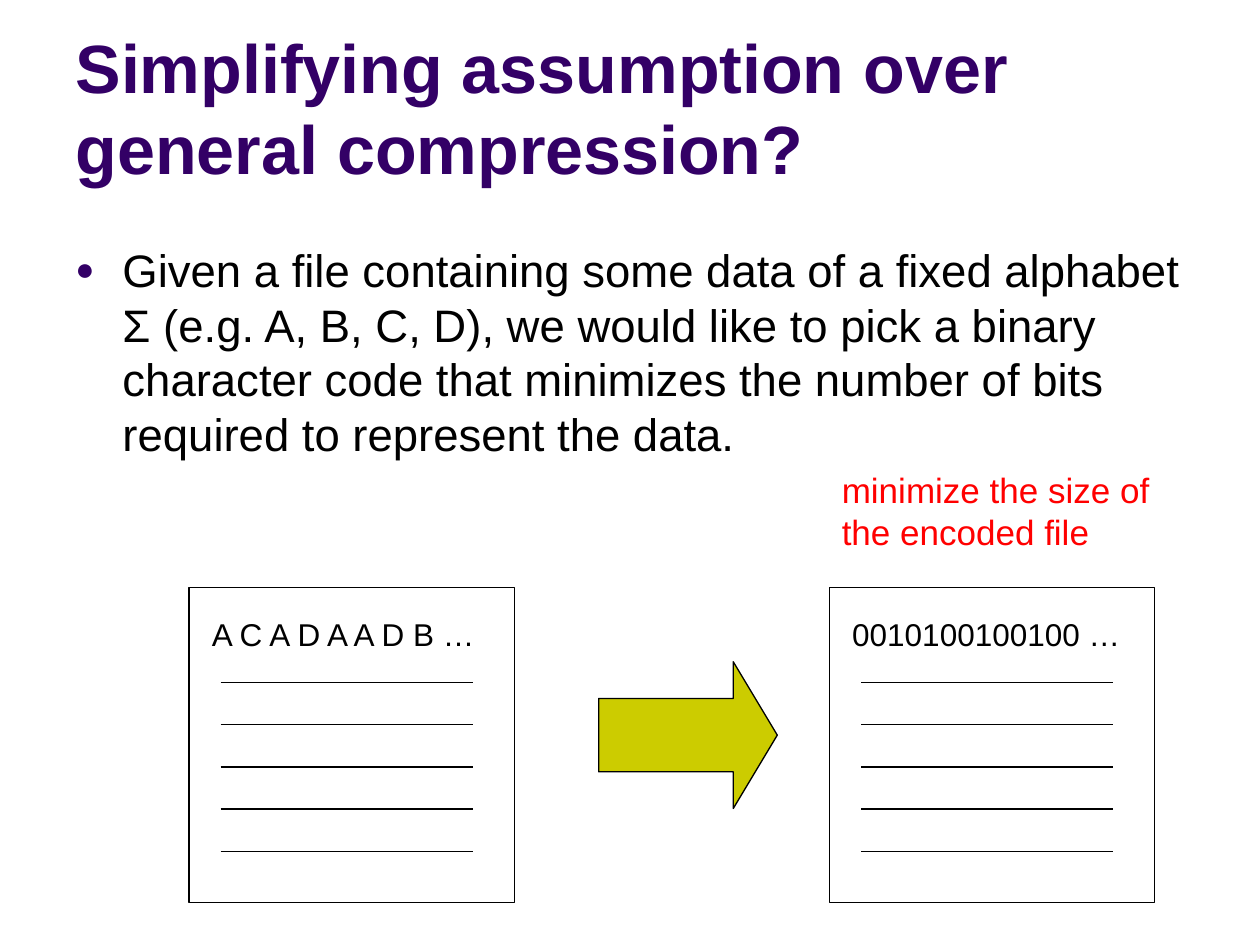
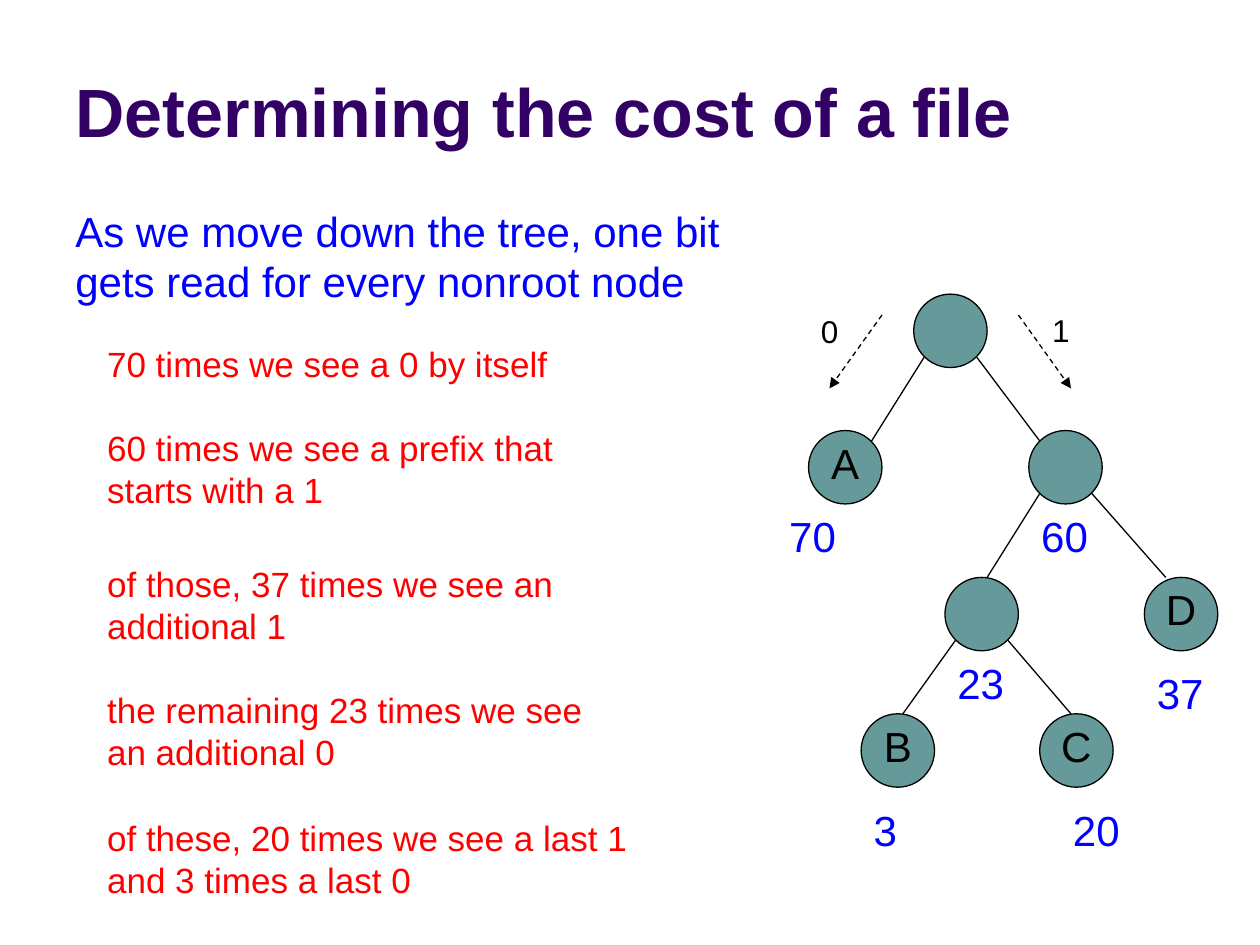
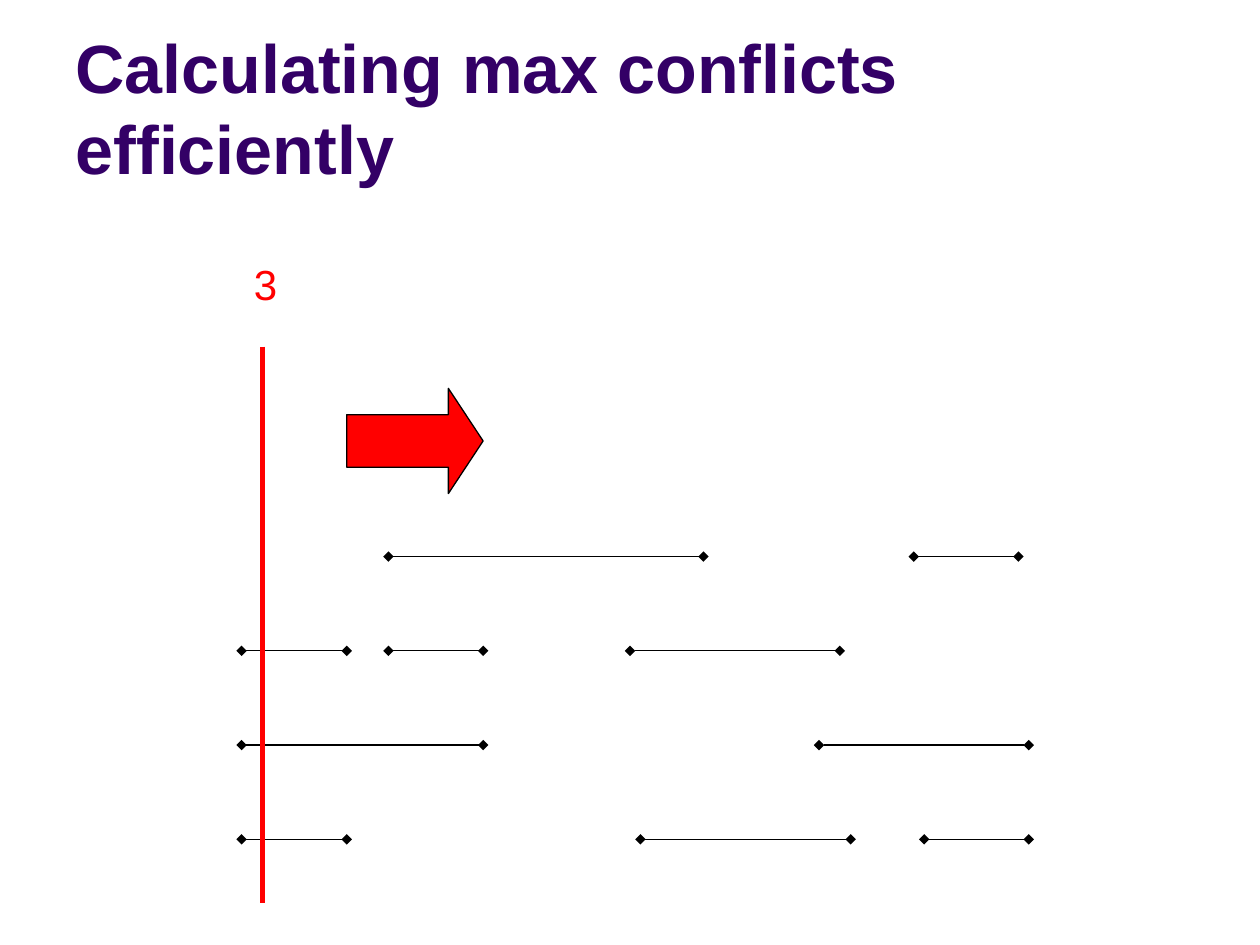
from lxml import etree
from pptx import Presentation
from pptx.dml.color import RGBColor
from pptx.enum.dml import MSO_LINE
from pptx.enum.shapes import MSO_CONNECTOR, MSO_SHAPE
from pptx.enum.text import MSO_ANCHOR, MSO_AUTO_SIZE, PP_ALIGN
from pptx.oxml.ns import qn
from pptx.util import Cm, Pt

STRAIGHT = MSO_CONNECTOR.STRAIGHT
DASH = MSO_LINE.DASH
RECTANGLE, OVAL, ARROW = MSO_SHAPE.RECTANGLE, MSO_SHAPE.OVAL, MSO_SHAPE.RIGHT_ARROW
TOP, MIDDLE, BOTTOM = MSO_ANCHOR.TOP, MSO_ANCHOR.MIDDLE, MSO_ANCHOR.BOTTOM
LEFT, CENTER = PP_ALIGN.LEFT, PP_ALIGN.CENTER
NO_AUTOFIT = MSO_AUTO_SIZE.NONE

PURPLE = RGBColor(0x33, 0x00, 0x66)
BLACK = RGBColor(0x00, 0x00, 0x00)
RED = RGBColor(0xFF, 0x00, 0x00)
BLUE = RGBColor(0x00, 0x00, 0xFF)
OLIVE = RGBColor(0xCC, 0xCC, 0x00)
TEAL = RGBColor(0x66, 0x99, 0x99)
FONT = "Arial"
THIN = Pt(0.75)


def write_text(box, text, size=20, color=BLACK, bold=False, align=LEFT, anchor=TOP, bullet=None):
    frame = box.text_frame
    frame.word_wrap = True
    frame.auto_size = NO_AUTOFIT
    frame.vertical_anchor = anchor
    para = frame.paragraphs[0]
    para.alignment = align
    if bullet:
        properties = para._p.get_or_add_pPr()
        properties.set("marL", str(Cm(0.95)))
        properties.set("indent", str(-Cm(0.95)))
        bullet_color = etree.SubElement(properties, qn("a:buClr"))
        etree.SubElement(bullet_color, qn("a:srgbClr"), val=str(PURPLE))
        etree.SubElement(properties, qn("a:buSzPct"), val="70000")
        etree.SubElement(properties, qn("a:buFont"), typeface=FONT)
        etree.SubElement(properties, qn("a:buChar"), char=bullet)
    span = para.add_run()
    span.text = text
    span.font.name = FONT
    span.font.size = Pt(size)
    span.font.bold = bold
    span.font.color.rgb = color


def draw_line(page, start, end, color=BLACK, width=THIN, dash=None, head=None, tail=None):
    x1, y1, x2, y2 = (Cm(value) for value in (*start, *end))
    connector = page.shapes.add_connector(STRAIGHT, x1, y1, x2, y2)
    connector.line.color.rgb = color
    connector.line.width = width
    if dash:
        connector.line.dash_style = dash
    outline = connector.line._get_or_add_ln()
    for tag, kind in (("a:headEnd", head), ("a:tailEnd", tail)):
        if kind:
            etree.SubElement(outline, qn(tag), type=kind)
    etree.SubElement(connector._element.spPr, qn("a:effectLst"))


deck = Presentation()
deck.slide_width, deck.slide_height = Cm(25.4), Cm(19.05)

titles = [
    ("Simplifying assumption over general compression?", 0.33, 22.86, 3.6),
    ("Determining the cost of a file", 0.85, 20.96, 2.33),
    ("Calculating max conflicts efficiently", 0.33, 22.86, 3.6),
]
pages = []
for text, top, width, height in titles:
    page = deck.slides.add_slide(deck.slide_layouts[5])
    title = page.shapes.title
    title.left, title.top, title.width, title.height = Cm(1.27), Cm(top), Cm(width), Cm(height)
    write_text(title, text, size=39, color=PURPLE, bold=True, anchor=BOTTOM)
    pages.append(page)
compression_page, cost_page, conflicts_page = pages

body = compression_page.shapes.add_textbox(Cm(1.27), Cm(4.76), Cm(22.86), Cm(4.95))
write_text(
    body,
    "Given a file containing some data of a fixed alphabet Σ (e.g. A, B, C, D), we would like "
    "to pick a binary character code that minimizes the number of bits required to represent the data.",
    size=26,
    bullet="●",
)

for left, content in ((3.81, "A C A D A A D B …"), (16.72, "0010100100100 …")):
    box = compression_page.shapes.add_textbox(Cm(left + 0.21), Cm(12.28), Cm(7.41), Cm(1.02))
    write_text(box, content, size=18)
    file_outline = compression_page.shapes.add_shape(RECTANGLE, Cm(left), Cm(11.85), Cm(6.56), Cm(6.35))
    file_outline.shadow.inherit = False
    file_outline.fill.background()
    file_outline.line.color.rgb = BLACK
    file_outline.line.width = THIN
    for row in range(5):
        y = 13.76 + row * 0.85
        draw_line(compression_page, (left + 0.64, y), (left + 5.72, y))

goal = compression_page.shapes.add_textbox(Cm(16.72), Cm(9.32), Cm(6.78), Cm(1.96))
write_text(goal, "minimize the size of the encoded file", color=RED)

tree_nodes = [
    ("", 18.42, 5.93),
    ("A", 16.3, 8.68),
    ("", 20.74, 8.68),
    ("", 19.05, 11.64),
    ("B", 17.36, 14.39),
    ("C", 20.96, 14.39),
    ("D", 23.07, 11.64),
]
for letter, left, top in tree_nodes:
    node = cost_page.shapes.add_shape(OVAL, Cm(left), Cm(top), Cm(1.48), Cm(1.48))
    node.shadow.inherit = False
    node.fill.solid()
    node.fill.fore_color.rgb = TEAL
    node.line.color.rgb = BLACK
    node.line.width = THIN
    if letter:
        frame = node.text_frame
        frame.margin_left = frame.margin_right = frame.margin_top = 0
        frame.margin_bottom = Cm(0.2)
        write_text(node, letter, size=24, align=CENTER, anchor=MIDDLE)

tree_edges = [
    ((18.63, 7.2), (17.57, 8.89)),
    ((19.69, 7.2), (20.96, 8.89)),
    ((20.96, 9.95), (19.9, 11.64)),
    ((19.26, 12.91), (18.2, 14.39)),
    ((20.32, 12.91), (21.59, 14.39)),
    ((22.01, 9.95), (23.5, 11.64)),
]
for start, end in tree_edges:
    draw_line(cost_page, start, end)

bit_arrows = [
    ("0", 16.3, 6.17, (17.78, 6.35), (16.72, 7.83)),
    ("1", 20.96, 6.14, (20.53, 6.35), (21.59, 7.83)),
]
for bit, left, top, start, end in bit_arrows:
    draw_line(cost_page, start, end, dash=DASH, tail="triangle")
    box = cost_page.shapes.add_textbox(Cm(left), Cm(top), Cm(1.06), Cm(1.02))
    write_text(box, bit, size=18)

node_counts = [
    ("70", 15.66, 10.16),
    ("3", 17.36, 16.09),
    ("20", 21.38, 16.09),
    ("37", 23.07, 13.34),
    ("23", 19.05, 13.12),
    ("60", 20.74, 10.16),
]
for count, left, top in node_counts:
    box = cost_page.shapes.add_textbox(Cm(left), Cm(top), Cm(2.12), Cm(1.27))
    write_text(box, count, size=24, color=BLUE)

bit_notes = [
    ("70 times we see a 0 by itself", 6.77, 10.16, 1.1),
    ("60 times we see a prefix that starts with a 1", 8.47, 10.16, 1.96),
    ("of those, 37 times we see an additional 1", 11.22, 10.16, 1.96),
    ("the remaining 23 times we see an additional 0", 13.76, 10.16, 1.96),
    ("of these, 20 times we see a last 1 and 3 times a last 0", 16.33, 11.64, 1.96),
]
for note, top, width, height in bit_notes:
    box = cost_page.shapes.add_textbox(Cm(1.91), Cm(top), Cm(width), Cm(height))
    write_text(box, note, color=RED)

lead = cost_page.shapes.add_textbox(Cm(1.27), Cm(4.02), Cm(14.6), Cm(2.29))
write_text(lead, "As we move down the tree, one bit gets read for every nonroot node", size=24, color=BLUE)

interval_rows = [
    [(7.83, 14.18), (18.42, 20.53)],
    [(4.87, 6.99), (7.83, 9.74), (12.7, 16.93)],
    [(4.87, 9.74), (16.51, 20.74)],
    [(4.87, 6.99), (12.91, 17.15), (18.63, 20.74)],
]
for row, intervals in enumerate(interval_rows):
    y = 11.22 + row * 1.9
    for begin, finish in intervals:
        draw_line(conflicts_page, (begin, y), (finish, y), head="diamond", tail="diamond")

draw_line(conflicts_page, (5.29, 6.99), (5.29, 18.2), color=RED, width=Pt(3))
conflict_count = conflicts_page.shapes.add_textbox(Cm(4.87), Cm(5.08), Cm(1.91), Cm(1.27))
write_text(conflict_count, "3", size=24, color=RED)

block_arrows = [
    (compression_page, 12.07, 13.34, 3.6, 2.96, 0.3, OLIVE),
    (conflicts_page, 6.99, 7.83, 2.75, 2.12, 0.33, RED),
]
for page, left, top, width, height, head_length, color in block_arrows:
    arrow = page.shapes.add_shape(ARROW, Cm(left), Cm(top), Cm(width), Cm(height))
    arrow.adjustments[0], arrow.adjustments[1] = 0.5, head_length
    arrow.shadow.inherit = False
    arrow.fill.solid()
    arrow.fill.fore_color.rgb = color
    arrow.line.color.rgb = BLACK
    arrow.line.width = THIN

deck.save("out.pptx")
